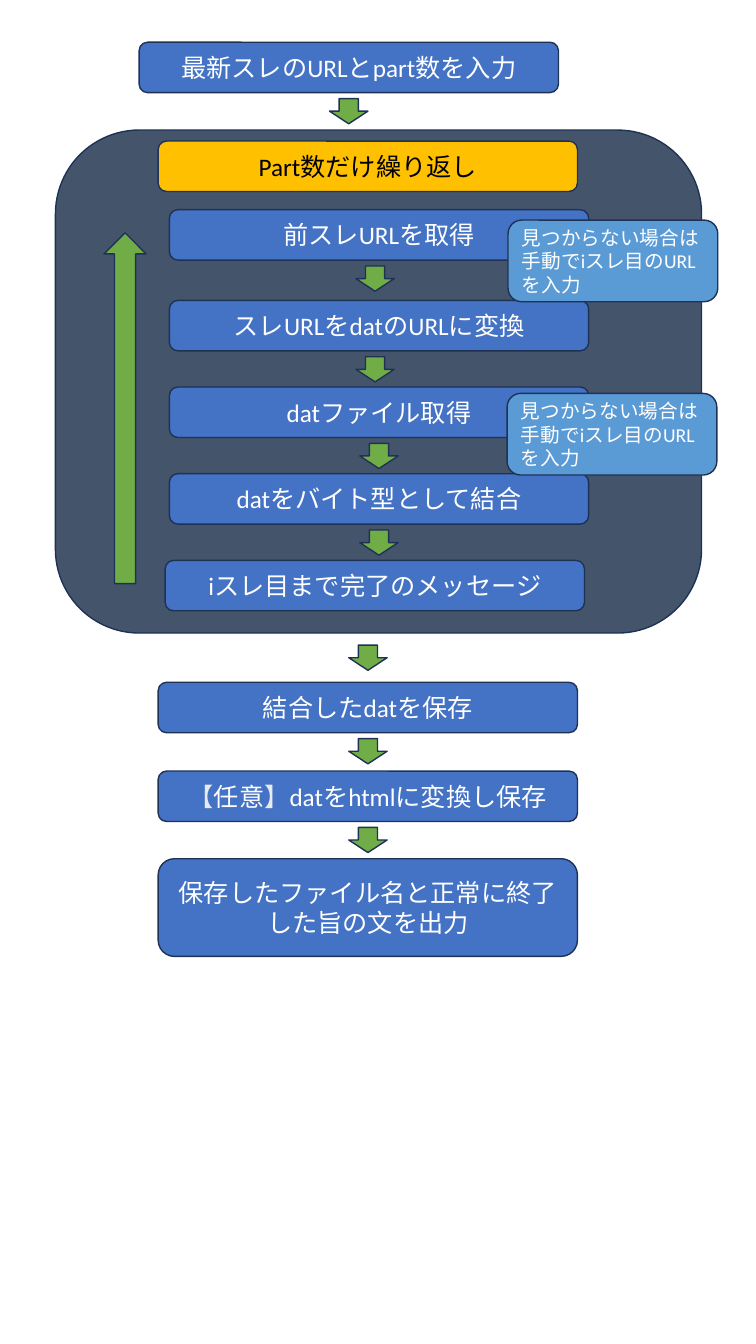
import pptx
import pptx.util
import pptx.dml.color
import pptx.enum.shapes
import pptx.enum.text

Pt = pptx.util.Pt
SHAPES = pptx.enum.shapes.MSO_SHAPE
ALIGN = pptx.enum.text.PP_ALIGN

COLOURS = {
    "panel": "44546A",
    "step": "4472C4",
    "loop": "FFC000",
    "note": "5B9BD5",
    "arrow": "70AD47",
    "outline": "1E3256",
    "white": "FFFFFF",
    "black": "000000",
    "bracket": "E8EAED",
}

STEP_WIDTH, STEP_HEIGHT = 299.5, 36
ARROW_WIDTH, ARROW_HEIGHT, ARROW_GAP = 27.4, 18, 4.2
PANEL = (39.6, 92.9, 461.5, 359.3)
LOOP_ARROW = (74.2, 166.3, 30.2, 250.6)

# left, top, height, text, left of the arrow below
STEPS = [
    (99.4, 30.2, STEP_HEIGHT, "最新スレのURLとpart数を入力", 235.4),
    (121, 149.8, STEP_HEIGHT, "前スレURLを取得", 254.2),
    (121, 214.6, STEP_HEIGHT, "スレURLをdatのURLに変換", 254.2),
    (121, 276.5, STEP_HEIGHT, "datファイル取得", 257),
    (121, 338.4, STEP_HEIGHT, "datをバイト型として結合", 257),
    (118, 400.3, STEP_HEIGHT, "iスレ目まで完了のメッセージ", None),
    (113, 487.4, STEP_HEIGHT, "結合したdatを保存", 249.1),
    (113, 550.8, STEP_HEIGHT, "【任意】datをhtmlに変換し保存", 249.1),
    (113, 613.4, 69.8, "保存したファイル名と正常に終了した旨の文を出力", None),
]
NOTE_TEXT = "見つからない場合は手動でiスレ目のURLを入力"
NOTES = [(362.9, 157.2), (362.2, 281)]


def colour(name):
    return pptx.dml.color.RGBColor.from_string(COLOURS[name])


def apply_format(target, values):
    for name, value in values.items():
        setattr(target, name, value)


def split_brackets(text):
    """Split the text so that each 【 and 】 is a part of its own."""
    for bracket in "【】":
        text = text.replace(bracket, f"\n{bracket}\n")
    return [part for part in text.split("\n") if part]


class FlowChart:
    def __init__(self, slide):
        self.slide = slide
        self.font = "Calibri"
        self.bracket_font = "Roboto"

    def block(self, kind, box, fill):
        shape = self.slide.shapes.add_shape(kind, *map(Pt, box))
        shape.shadow.inherit = False
        shape.fill.solid()
        shape.fill.fore_color.rgb = colour(fill)
        shape.line.color.rgb = colour("outline")
        shape.line.width = Pt(1)
        return shape

    def text_box(self, box, text, fill="step", text_colour="white", size=18, align=ALIGN.CENTER):
        shape = self.block(SHAPES.ROUNDED_RECTANGLE, box, fill)
        apply_format(shape.text_frame, {
            "word_wrap": True,
            "vertical_anchor": pptx.enum.text.MSO_ANCHOR.MIDDLE,
        })
        paragraph = shape.text_frame.paragraphs[0]
        paragraph.alignment = align
        for part in split_brackets(text):
            is_bracket = part in "【】"
            run = paragraph.add_run()
            run.text = part
            apply_format(run.font, {
                "name": self.bracket_font if is_bracket else self.font,
                "size": Pt(size),
            })
            run.font.color.rgb = colour("bracket" if is_bracket else text_colour)

    def note(self, left, top):
        self.text_box((left, top, 149.8, 58.3), NOTE_TEXT, "note", size=14, align=ALIGN.LEFT)

    def arrow(self, left, top):
        self.block(SHAPES.DOWN_ARROW, (left, top, ARROW_WIDTH, ARROW_HEIGHT), "arrow")


def main():
    presentation = pptx.Presentation()
    apply_format(presentation, {"slide_width": Pt(540), "slide_height": Pt(960)})
    blank_layout = presentation.slide_layouts[6]
    chart = FlowChart(presentation.slides.add_slide(blank_layout))

    chart.block(SHAPES.FLOWCHART_ALTERNATE_PROCESS, PANEL, "panel")
    chart.text_box((113, 100.8, STEP_WIDTH, STEP_HEIGHT), "Part数だけ繰り返し", "loop", "black")
    chart.block(SHAPES.DOWN_ARROW, LOOP_ARROW, "arrow").rotation = 180
    for left, top, height, text, arrow_left in STEPS:
        chart.text_box((left, top, STEP_WIDTH, height), text)
        if arrow_left is not None:
            chart.arrow(arrow_left, top + height + ARROW_GAP)
    chart.arrow(249.1, 460.8)
    for left, top in NOTES:
        chart.note(left, top)

    presentation.save("out.pptx")


if __name__ == "__main__":
    main()
